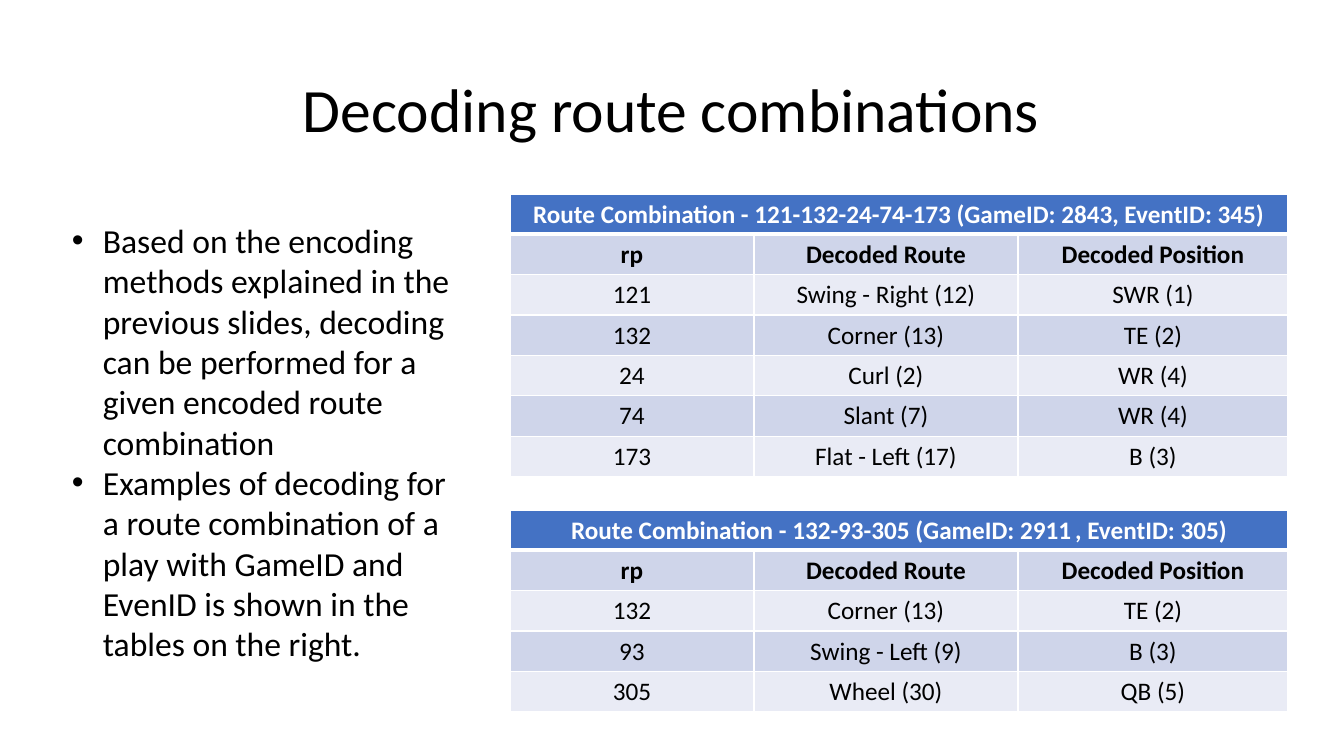
from lxml.etree import SubElement
from pptx import Presentation
from pptx.dml.color import RGBColor
from pptx.enum.text import MSO_ANCHOR, PP_ALIGN
from pptx.oxml.ns import qn
from pptx.util import Pt

TITLE = "Decoding route combinations"
EXPLANATION = [
    "Based on the encoding methods explained in the previous slides, decoding "
    "can be performed for a given encoded route combination",
    "Examples of decoding for a route combination of a play with GameID and "
    "EvenID is shown in the tables on the right.",
]
COLUMN_HEADS = ("rp", "Decoded Route", "Decoded Position")
COMBINATIONS = [
    {
        "top": 194,
        "heading": "Route Combination - 121-132-24-74-173 (GameID: 2843, EventID: 345)",
        "routes": [
            ("121", "Swing - Right (12)", "SWR (1)"),
            ("132", "Corner (13)", "TE (2)"),
            ("24", "Curl (2)", "WR (4)"),
            ("74", "Slant (7)", "WR (4)"),
            ("173", "Flat - Left (17)", "B (3)"),
        ],
    },
    {
        "top": 510,
        "heading": "Route Combination - 132-93-305 (GameID: 2911\t, EventID: 305)",
        "routes": [
            ("132", "Corner (13)", "TE (2)"),
            ("93", "Swing - Left (9)", "B (3)"),
            ("305", "Wheel (30)", "QB (5)"),
        ],
    },
]

BLACK = RGBColor(0x00, 0x00, 0x00)
WHITE = RGBColor(0xFF, 0xFF, 0xFF)
BLUE = RGBColor(0x44, 0x72, 0xC4)
BANDS = (RGBColor(0xCF, 0xD5, 0xEA), RGBColor(0xE9, 0xEB, 0xF5))
FONT = "Calibri"
TABLE_LEFT, ROW_HEIGHT = 510, 40
COLUMN_WIDTHS = (244, 264, 270)
BULLET_INDENT = 31


def px(pixels):
    """Turn pixels into EMU."""
    return round(pixels * 914400 / 100.8)


def write(frame, paragraphs, size=18, color=BLACK, bold=False,
          align=PP_ALIGN.CENTER, spacing=None, bulleted=False):
    """Fill a text frame with formatted paragraphs."""
    for index, text in enumerate(paragraphs):
        paragraph = frame.add_paragraph() if index else frame.paragraphs[0]
        paragraph.alignment = align
        if spacing:
            paragraph.line_spacing = spacing
        if bulleted:
            properties = paragraph._p.get_or_add_pPr()
            properties.set("marL", str(px(BULLET_INDENT)))
            properties.set("indent", str(-px(BULLET_INDENT)))
            SubElement(properties, qn("a:buFont"), typeface="Arial")
            SubElement(properties, qn("a:buChar"), char="•")
        run = paragraph.add_run()
        run.text = text
        run.font.name = FONT
        run.font.size = Pt(size)
        run.font.bold = bold
        run.font.color.rgb = color


def add_text(slide, box, paragraphs, anchor=MSO_ANCHOR.TOP, **text_format):
    """Add a wrapping text box."""
    frame = slide.shapes.add_textbox(*map(px, box)).text_frame
    frame.word_wrap = True
    frame.vertical_anchor = anchor
    write(frame, paragraphs, **text_format)


def set_borders(cell, top=1, bottom=1):
    """Give a cell white borders, with widths in points."""
    properties = cell._tc.get_or_add_tcPr()
    for side, width in (("L", 1), ("R", 1), ("T", top), ("B", bottom)):
        line = SubElement(properties, qn(f"a:ln{side}"), w=str(Pt(width)))
        fill = SubElement(line, qn("a:solidFill"))
        SubElement(fill, qn("a:srgbClr"), val=str(WHITE))


def add_combination(slide, top, heading, routes):
    """Add the table that decodes one route combination."""
    rows = [(heading, "", ""), COLUMN_HEADS, *routes]
    table = slide.shapes.add_table(
        len(rows), len(COLUMN_WIDTHS), px(TABLE_LEFT), px(top),
        px(sum(COLUMN_WIDTHS)), px(ROW_HEIGHT * len(rows))).table
    for column, width in zip(table.columns, COLUMN_WIDTHS):
        column.width = px(width)
    table.cell(0, 0).merge(table.cell(0, len(COLUMN_WIDTHS) - 1))
    for r, values in enumerate(rows):
        table.rows[r].height = px(ROW_HEIGHT)
        for c, value in enumerate(values):
            cell = table.cell(r, c)
            set_borders(cell, top=3 if r == 1 else 1, bottom=3 if r == 0 else 1)
            cell.fill.solid()
            cell.fill.fore_color.rgb = BANDS[(r - 1) % 2] if r else BLUE
            if value:
                write(cell.text_frame, [value], bold=r < 2,
                      color=BLACK if r else WHITE)


presentation = Presentation()
presentation.slide_width, presentation.slide_height = px(1344), px(756)
slide = presentation.slides.add_slide(presentation.slide_layouts[6])

add_text(slide, (92, 40, 1159, 146), [TITLE], anchor=MSO_ANCHOR.MIDDLE,
         size=44, spacing=0.9)
for combination in COMBINATIONS:
    add_combination(slide, **combination)
add_text(slide, (62, 215, 417, 458), EXPLANATION, size=24,
         align=PP_ALIGN.LEFT, bulleted=True)

presentation.save("out.pptx")
